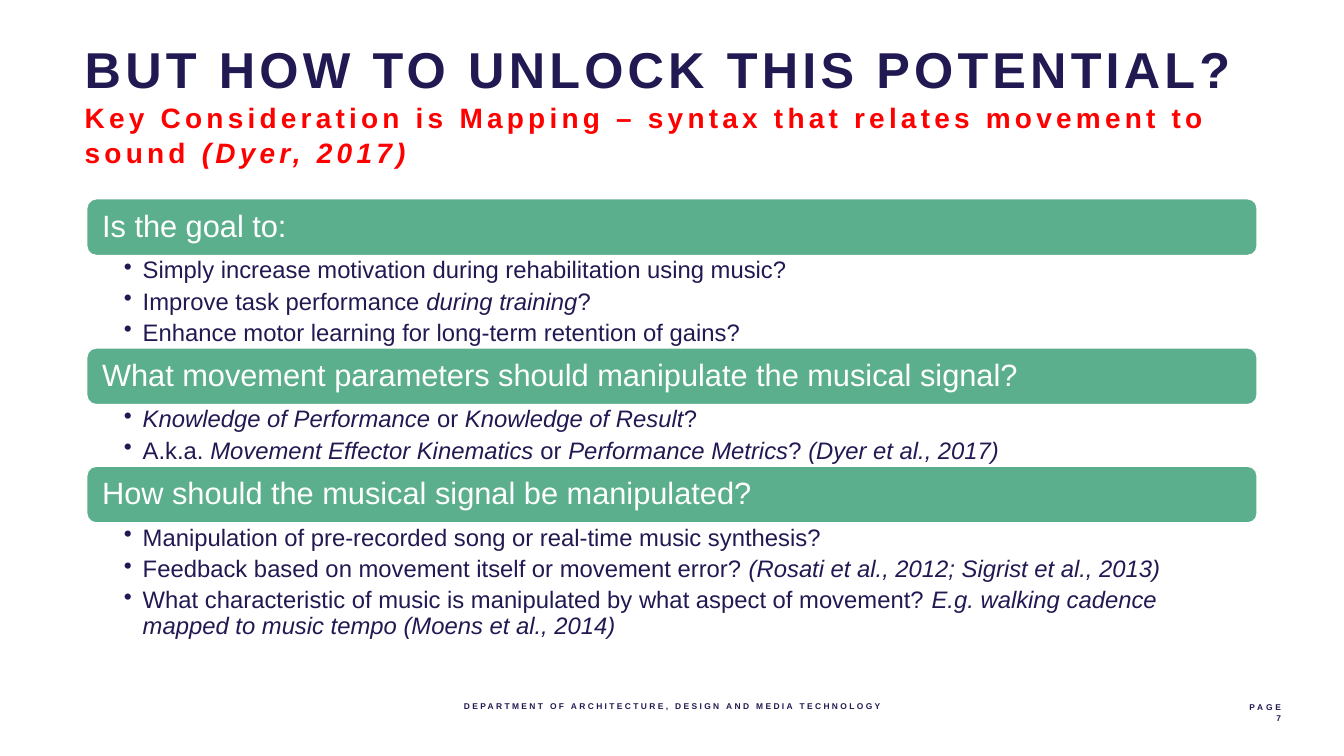
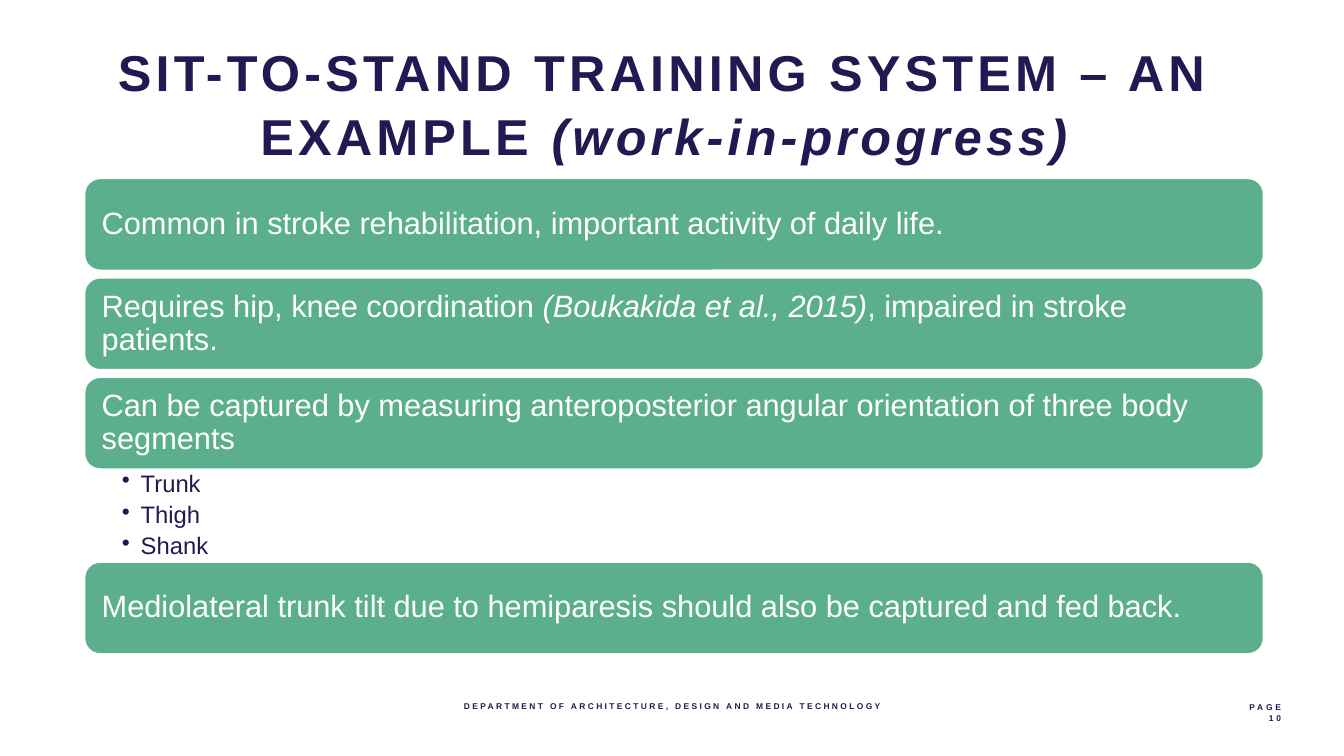
from dataclasses import dataclass

from lxml.etree import SubElement
from pptx import Presentation
from pptx.dml.color import RGBColor
from pptx.enum.shapes import MSO_SHAPE
from pptx.enum.text import MSO_ANCHOR, MSO_AUTO_SIZE, PP_ALIGN
from pptx.oxml.ns import qn
from pptx.util import Pt


@dataclass(frozen=True)
class Theme:
    font: str = "Arial"
    navy: RGBColor = RGBColor(0x21, 0x1A, 0x52)
    green: RGBColor = RGBColor(0x5C, 0xAF, 0x8D)
    red: RGBColor = RGBColor(0xFF, 0x00, 0x00)
    white: RGBColor = RGBColor(0xFF, 0xFF, 0xFF)
    title: int = 36
    subtitle: int = 20
    band: int = 22
    bullet: int = 17
    footer: int = 6


theme = Theme()
WIDTH, HEIGHT = 960, 540
FOOTER = "DEPARTMENT OF ARCHITECTURE, DESIGN AND MEDIA TECHNOLOGY"
FOOTER_TOP, FOOTER_HEIGHT = 501, 22

# Text between asterisks is italic. A block is a band heading, its bullets
# and the height of the bullet list.
slides = [
    dict(
        number="7",
        title="BUT HOW TO UNLOCK THIS POTENTIAL?",
        subtitle="Key Consideration is Mapping – syntax that relates "
                 "movement to sound *(Dyer, 2017)*",
        title_top=25, title_align=PP_ALIGN.LEFT,
        left=62, top=142, width=836, band_height=40.5, gap=0,
        blocks=[
            ("Is the goal to:", [
                "Simply increase motivation during rehabilitation using music?",
                "Improve task performance *during training*?",
                "Enhance motor learning for long-term retention of gains?",
            ], 66),
            ("What movement parameters should manipulate the musical signal?", [
                "*Knowledge of Performance* or *Knowledge of Result*?",
                "A.k.a. *Movement Effector Kinematics* or "
                "*Performance Metrics*? *(Dyer et al., 2017)*",
            ], 44),
            ("How should the musical signal be manipulated?", [
                "Manipulation of pre-recorded song or real-time music synthesis?",
                "Feedback based on movement itself or movement error? "
                "*(Rosati et al., 2012; Sigrist et al., 2013)*",
                "What characteristic of music is manipulated by what aspect of "
                "movement? *E.g. walking cadence mapped to music tempo "
                "(Moens et al., 2014)*",
            ], 84),
        ],
    ),
    dict(
        number="10",
        title="SIT-TO-STAND TRAINING SYSTEM – AN EXAMPLE *(work-in-progress)*",
        subtitle="",
        title_top=27.5, title_align=PP_ALIGN.CENTER,
        left=60.5, top=127.5, width=842, band_height=65.5, gap=5.5,
        blocks=[
            ("Common in stroke rehabilitation, important activity of daily life.",
             [], 0),
            ("Requires hip, knee coordination *(Boukakida et al., 2015)*, "
             "impaired in stroke patients.", [], 0),
            ("Can be captured by measuring anteroposterior angular orientation "
             "of three body segments", ["Trunk", "Thigh", "Shank"], 66.5),
            ("Mediolateral trunk tilt due to hemiparesis should also be "
             "captured and fed back.", [], 0),
        ],
    ),
]


def set_frame(frame, left, top, right, bottom, anchor=MSO_ANCHOR.TOP):
    """Set wrapping, insets and anchor; return the first paragraph."""
    frame.word_wrap = True
    frame.auto_size = MSO_AUTO_SIZE.NONE
    frame.margin_left, frame.margin_top = Pt(left), Pt(top)
    frame.margin_right, frame.margin_bottom = Pt(right), Pt(bottom)
    frame.vertical_anchor = anchor
    return frame.paragraphs[0]


def write(para, text, size, color, bold=False, tracking=0,
          align=PP_ALIGN.LEFT, line_spacing=1.0):
    """Format a paragraph and fill it, with *italic* spans."""
    para.alignment = align
    para.line_spacing = line_spacing
    font = para.font
    font.name, font.size, font.bold = theme.font, Pt(size), bold
    font.color.rgb = color
    if tracking:
        para._p.pPr.find(qn("a:defRPr")).set("spc", str(round(tracking * 100)))
    for index, part in enumerate(text.split("*")):
        if part:
            span = para.add_run()
            span.text = part
            if index % 2:
                span.font.italic = True


deck = Presentation()
deck.slide_width, deck.slide_height = Pt(WIDTH), Pt(HEIGHT)
title_only = deck.slide_layouts[5]

for content in slides:
    page = deck.slides.add_slide(title_only)

    # Title, with an optional red second part
    title = page.shapes.title
    title.left, title.top = Pt(60.5), Pt(content["title_top"])
    title.width, title.height = Pt(835), Pt(110)
    para = set_frame(title.text_frame, 0, 0, 7, 3.5)
    write(para, content["title"], theme.title, theme.navy, bold=True,
          tracking=3, align=content["title_align"], line_spacing=1.05)
    if content["subtitle"]:
        para.add_line_break()
        for index, part in enumerate(content["subtitle"].split("*")):
            if part:
                span = para.add_run()
                span.text = part
                span.font.size = Pt(theme.subtitle)
                span.font.color.rgb = theme.red
                span.font.italic = bool(index % 2)

    # Bands, each followed by its bullet list or by a gap
    left, width = Pt(content["left"]), Pt(content["width"])
    top = content["top"]
    for heading, bullets, list_height in content["blocks"]:
        band = page.shapes.add_shape(
            MSO_SHAPE.ROUNDED_RECTANGLE, left, Pt(top), width,
            Pt(content["band_height"]))
        band.shadow.inherit = False
        band.fill.solid()
        band.fill.fore_color.rgb = theme.green
        band.line.color.rgb = theme.white
        band.line.width = Pt(1)
        para = set_frame(band.text_frame, 9, 6, 6, 6, MSO_ANCHOR.MIDDLE)
        write(para, heading, theme.band, theme.white, line_spacing=0.9)
        top += content["band_height"]

        if not bullets:
            top += content["gap"]
            continue
        box = page.shapes.add_textbox(left, Pt(top), width, Pt(list_height))
        para = set_frame(box.text_frame, 26.5, 2, 12, 2)
        for index, bullet in enumerate(bullets):
            if index:
                para = box.text_frame.add_paragraph()
            properties = para._p.get_or_add_pPr()
            properties.set("marL", str(Pt(13.5)))
            properties.set("indent", str(-Pt(13.5)))
            SubElement(properties, qn("a:buChar")).set("char", "•")
            para.space_after = Pt(4)
            write(para, bullet, theme.bullet, theme.navy, line_spacing=0.9)
        top += list_height

    # Footer and page number
    footer = page.shapes.add_textbox(0, Pt(FOOTER_TOP), Pt(WIDTH),
                                     Pt(FOOTER_HEIGHT))
    write(set_frame(footer.text_frame, 0, 0, 0, 3.5), FOOTER, theme.footer,
          theme.navy, bold=True, tracking=1.7, align=PP_ALIGN.CENTER)

    label = page.shapes.add_textbox(Pt(803.5), Pt(FOOTER_TOP), Pt(111.5),
                                    Pt(FOOTER_HEIGHT))
    first = set_frame(label.text_frame, 0, 0, 0, 0)
    second = label.text_frame.add_paragraph()
    for para, text in ((first, "PAGE"), (second, content["number"])):
        write(para, text, theme.footer, theme.navy, bold=True, tracking=2,
              align=PP_ALIGN.RIGHT, line_spacing=1.1)

deck.save("out.pptx")
